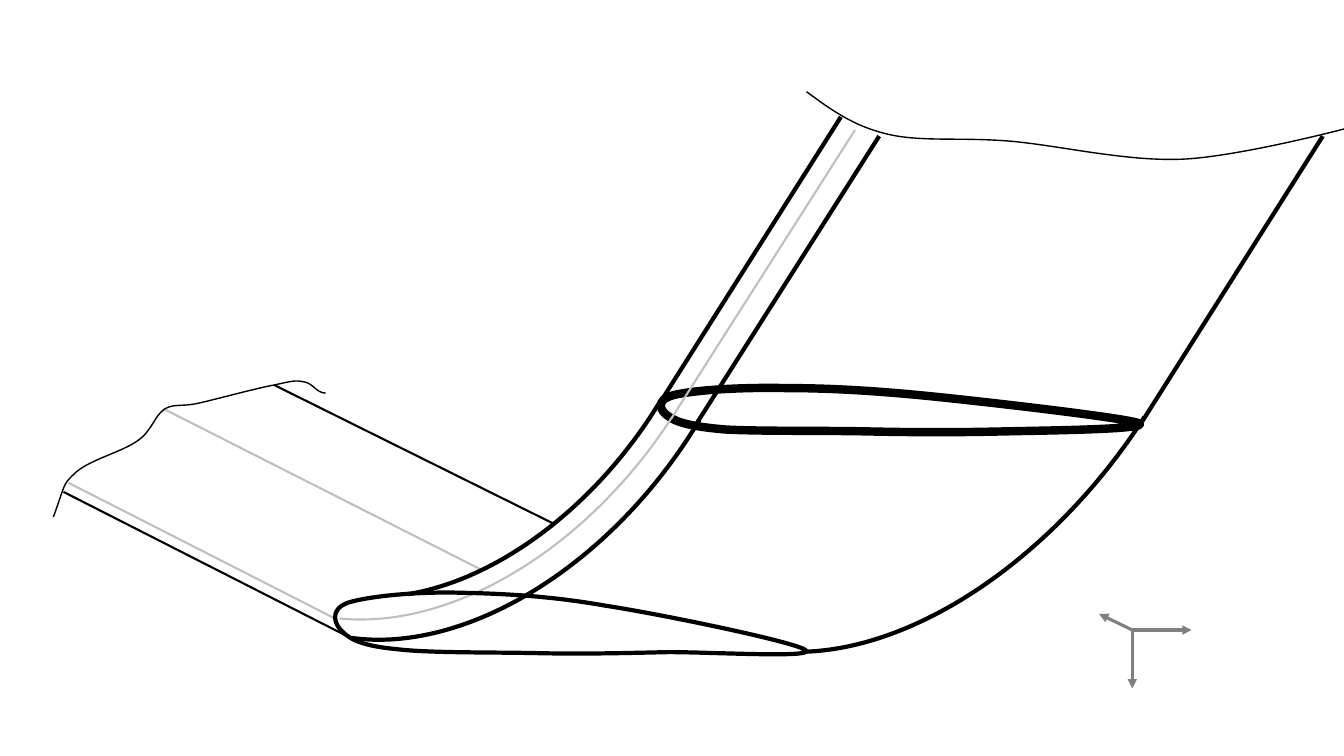
from lxml import etree
from pptx import Presentation
from pptx import util as u
from pptx.dml.color import RGBColor
from pptx.enum import shapes
from pptx.oxml.ns import qn

COLORS = {"edge": "000000", "hidden": "BFBFBF", "axis": "808080"}
CM_PER_INCH = 2.54
ARC_TILT = 126.2


def length(inches):
    return u.Cm(inches * CM_PER_INCH)


def place(box, point):
    """Turn a point inside a box into slide coordinates."""
    return [length(start + offset) for start, offset in zip(box, point)]


def style_line(line, color, width):
    line.color.rgb = RGBColor.from_string(COLORS[color])
    line.width = u.Pt(width)


def draw_line(slide, box, start, end, color="edge", width=1.5, arrow=False):
    segment = slide.shapes.add_connector(
        shapes.MSO_CONNECTOR.STRAIGHT, *place(box, start), *place(box, end))
    style_line(segment.line, color, width)
    properties = segment.element.spPr
    if arrow:
        etree.SubElement(properties.find(qn("a:ln")), qn("a:tailEnd"), type="triangle")
    etree.SubElement(properties, qn("a:effectLst"))


def draw_arc(slide, box, corner, size, angles, color="edge", width=3):
    arc = slide.shapes.add_shape(
        shapes.MSO_SHAPE.ARC, *place(box, corner), *map(length, size))
    arc.rotation = ARC_TILT
    arc.adjustments[0], arc.adjustments[1] = angles
    arc.shadow.inherit = False
    arc.fill.background()
    style_line(arc.line, color, width)


def draw_curve(slide, box, points, width, closed=False):
    """Draw a chain of Bezier curves: a start, then three points for each curve."""
    start, *controls = [place(box, point) for point in points]
    builder = slide.shapes.build_freeform(*start)
    builder.add_line_segments(controls, close=closed)
    curve = builder.convert_to_shape()
    curve.shadow.inherit = False
    curve.fill.background()
    style_line(curve.line, "edge", width)
    steps = list(curve.element.iter(qn("a:lnTo")))
    for first in range(0, len(steps), 3):
        bezier = etree.Element(qn("a:cubicBezTo"))
        steps[first].addprevious(bezier)
        for step in steps[first:first + 3]:
            bezier.append(step[0])
            step.getparent().remove(step)


def draw_main_wing(slide, box):
    for start, end, color in [
        ((0.18, 1.29), (2.85, 2.65), "hidden"),
        ((1.13, 0.56), (4.27, 2.15), "hidden"),
        ((0.13, 1.38), (2.98, 2.83), "edge"),
        ((2.22, 0.32), (4.98, 1.69), "edge"),
    ]:
        draw_line(slide, box, start, end, color)
    break_line = [
        (0.03, 1.63),
        (0.16, 1.27), (0.12, 1.31), (0.26, 1.18),
        (0.4, 1.06), (0.72, 0.98), (0.87, 0.87),
        (1.01, 0.77), (1.03, 0.63), (1.13, 0.56),
        (1.23, 0.5), (1.29, 0.54), (1.47, 0.5),
        (1.65, 0.46), (2.05, 0.35), (2.22, 0.32),
        (2.4, 0.28), (2.43, 0.27), (2.52, 0.29),
        (2.6, 0.3), (2.64, 0.4), (2.73, 0.4),
    ]
    draw_curve(slide, box, break_line, width=1)


def draw_winglet(slide, box):
    upper_airfoil = [
        (10.3, 4.2),
        (10.19, 4.15), (8.9, 4), (8.32, 3.94),
        (7.74, 3.88), (7.26, 3.85), (6.8, 3.85),
        (6.34, 3.84), (5.88, 3.87), (5.68, 3.92),
        (5.49, 3.97), (5.55, 4.08), (5.63, 4.13),
        (5.71, 4.19), (5.85, 4.23), (6.18, 4.26),
        (6.51, 4.28), (7.15, 4.27), (7.61, 4.28),
        (8.08, 4.29), (8.5, 4.29), (8.95, 4.28),
        (9.4, 4.27), (10.4, 4.26), (10.3, 4.2),
    ]
    draw_curve(slide, box, upper_airfoil, width=6, closed=True)

    for corner, size, angles in [
        ((4.32, 0.63), (7.76, 4.8), (156.63, 205.97)),
        ((0.31, 0.91), (6.99, 4.61), (154.75, 208.05)),
        ((0.56, 1.11), (6.24, 4.05), (155.45, 202.09)),
    ]:
        draw_arc(slide, box, corner, size, angles)
    draw_line(slide, box, (7.48, 1.29), (5.66, 4.15), "hidden")
    for top, bottom in [
        ((7.34, 1.16), (5.53, 4.02)),
        ((7.72, 1.35), (5.91, 4.2)),
        ((12.12, 1.35), (10.31, 4.21)),
    ]:
        draw_line(slide, box, top, bottom, width=3)
    draw_arc(slide, box, (0.09, 0.64), (6.99, 4.72), (157.57, 207.03), "hidden", 1.5)

    break_line = [
        (7, 0.91),
        (7.23, 1.08), (7.46, 1.25), (7.8, 1.33),
        (8.13, 1.41), (8.52, 1.36), (9.01, 1.4),
        (9.49, 1.44), (10.15, 1.6), (10.71, 1.58),
        (11.26, 1.56), (12.33, 1.28), (12.33, 1.28),
    ]
    draw_curve(slide, box, break_line, width=1)
    root_airfoil = [
        (6.99, 6.45),
        (6.89, 6.37), (5.59, 6.1), (5.01, 6.01),
        (4.44, 5.91), (3.99, 5.89), (3.54, 5.88),
        (3.09, 5.87), (2.64, 5.92), (2.45, 5.98),
        (2.26, 6.05), (2.32, 6.2), (2.4, 6.27),
        (2.48, 6.35), (2.61, 6.41), (2.93, 6.44),
        (3.25, 6.48), (3.88, 6.47), (4.33, 6.48),
        (4.78, 6.49), (5.18, 6.48), (5.63, 6.47),
        (6.07, 6.47), (7.1, 6.53), (6.99, 6.45),
    ]
    draw_curve(slide, box, root_airfoil, width=3, closed=True)


def draw_axes(slide, box):
    for tip in [(0, 0.58), (0.59, 0), (-0.33, -0.16)]:
        draw_line(slide, box, (0, 0), tip, "axis", 2.25, arrow=True)


def main():
    deck = Presentation()
    deck.slide_width, deck.slide_height = length(13.33), length(7.5)
    slide = deck.slides.add_slide(deck.slide_layouts[6])
    draw_main_wing(slide, (0.5, 3.5))
    draw_winglet(slide, (1, 0))
    draw_axes(slide, (11.23, 6.25))
    deck.save("out.pptx")


if __name__ == "__main__":
    main()
